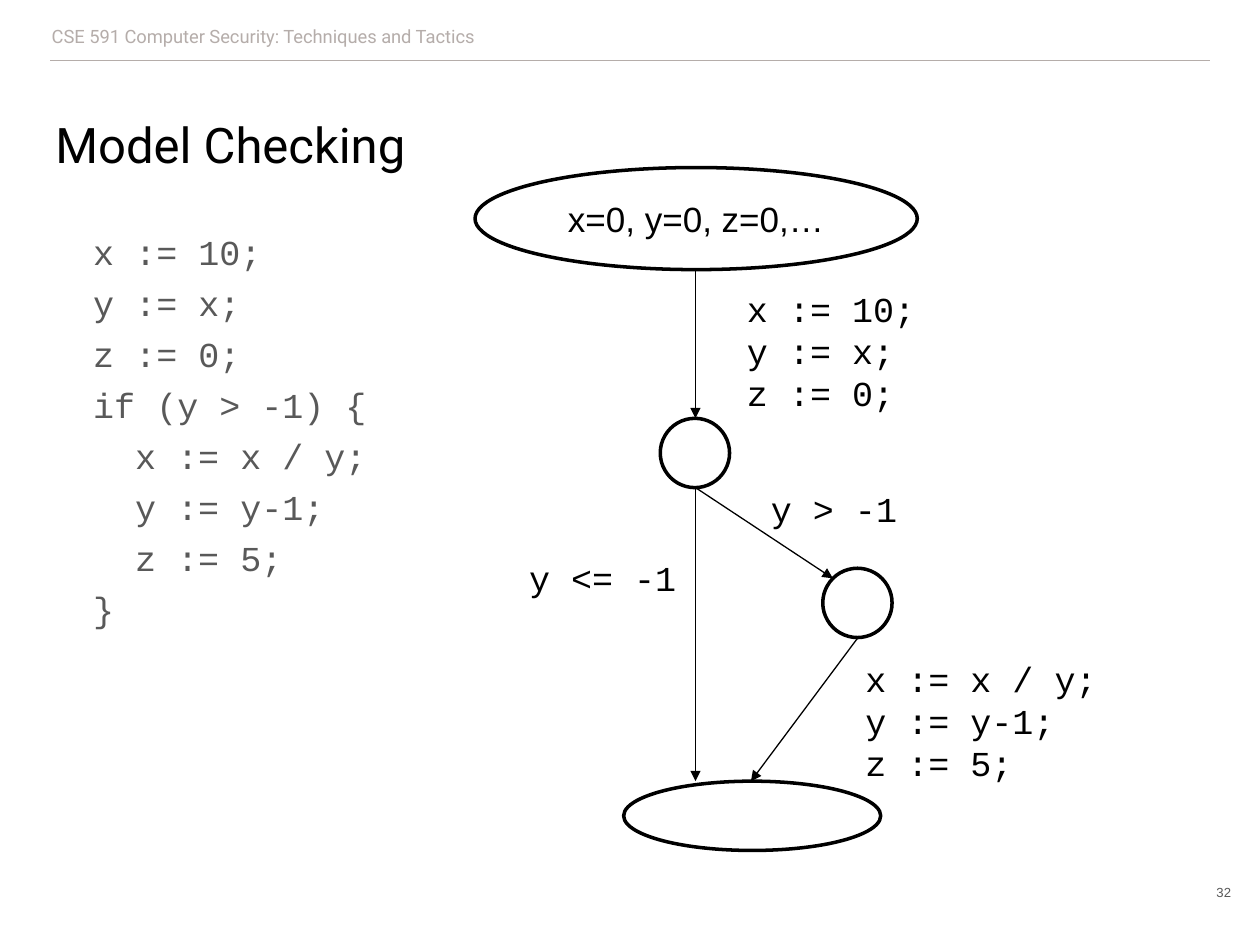
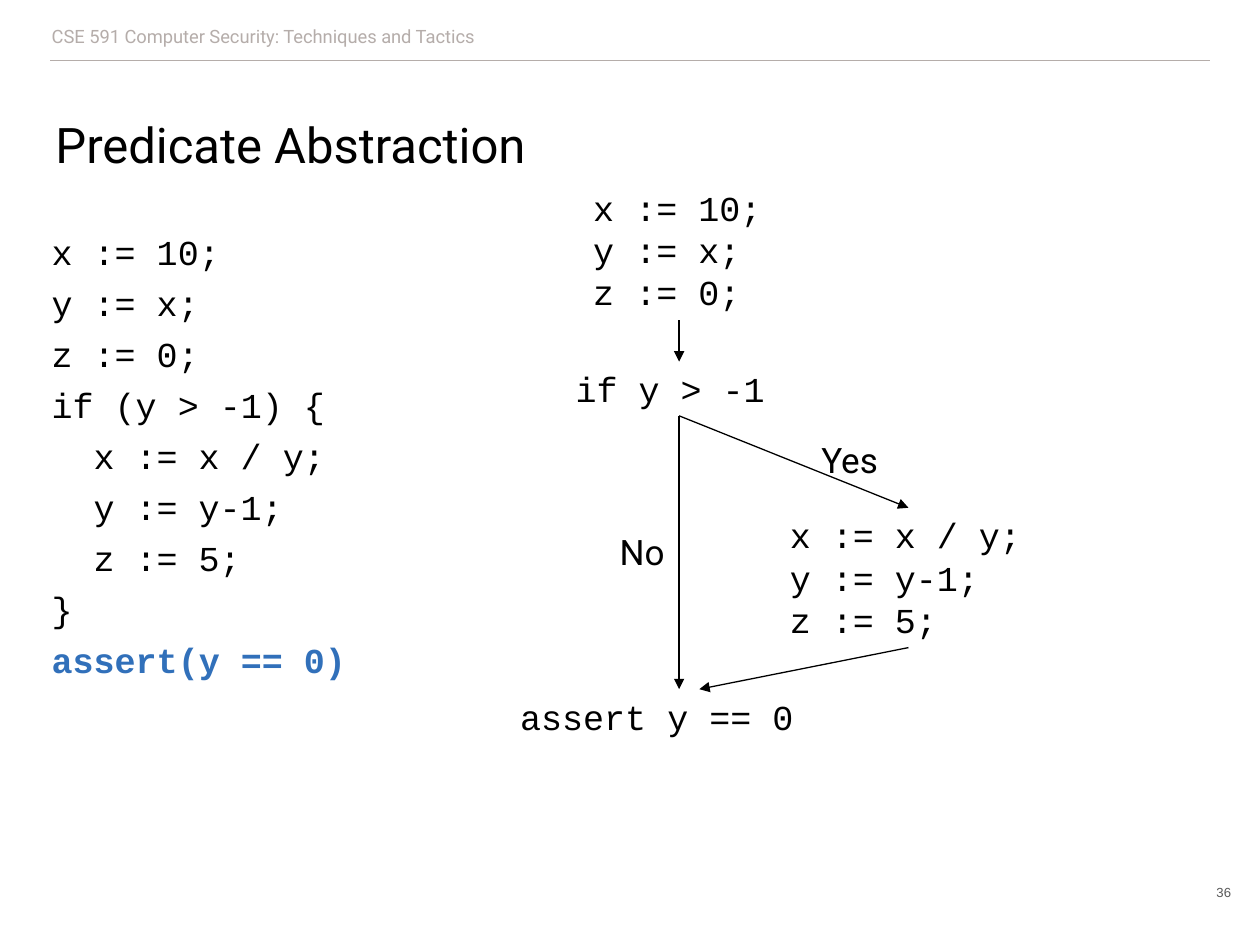
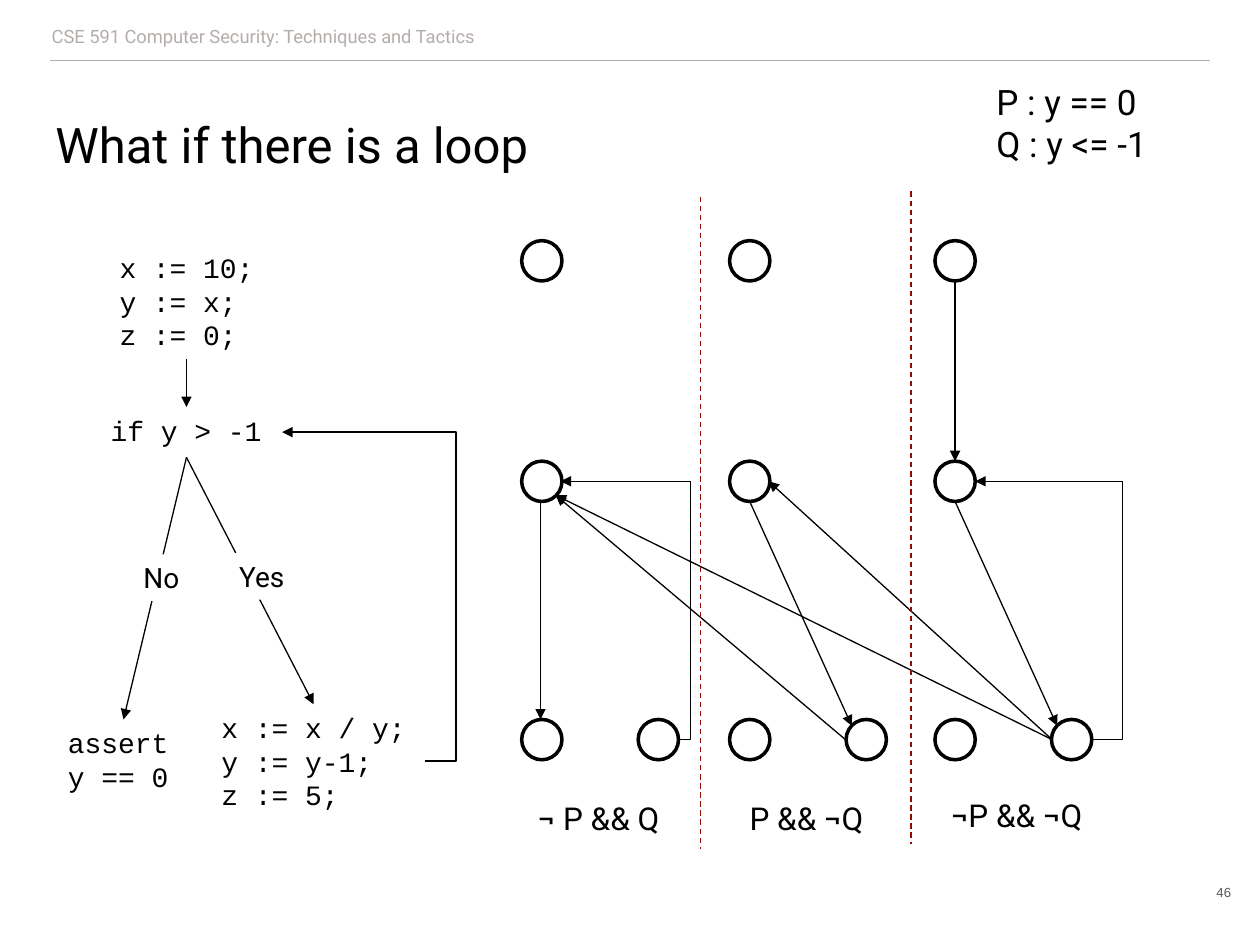
"""Build three lecture slides on model checking and predicate abstraction."""
from lxml import etree
from pptx import Presentation
from pptx import util as u
from pptx.dml.color import RGBColor
from pptx.enum import dml, shapes, text
from pptx.oxml.ns import qn

BLACK = RGBColor(0x00, 0x00, 0x00)
WHITE = RGBColor(0xFF, 0xFF, 0xFF)
GREY = RGBColor(0x59, 0x59, 0x59)
PALE = RGBColor(0xB5, 0xAD, 0xAA)
BLUE = RGBColor(0x31, 0x70, 0xBA)
RED = RGBColor(0x92, 0x0A, 0x00)
CODE, SANS, PLAIN = "Courier New", "Roboto", "Arial"
CELL = u.Inches(0.1)
COURSE = "CSE 591 Computer Security: Techniques and Tactics"
HANG = 0.6
STEP = 3.33

SETUP = ["x := 10;", "y := x;", "z := 0;"]
BRANCH = ["x := x / y;", "y := y-1;", "z := 5;"]
PROGRAM = SETUP + ["if (y > -1) {"] + BRANCH + ["}"]
TEST = ["if y > -1"]
NESTED = range(4, 7)


def write(box, lines, font, margins=(1, 0.5), indent=0, anchor=text.MSO_ANCHOR.TOP,
          align=text.PP_ALIGN.LEFT, wrap=True, fit=text.MSO_AUTO_SIZE.NONE):
    """Fill a box with formatted lines, measured in grid cells."""
    frame = box.text_frame
    side, edge = (int(margin * CELL) for margin in margins)
    layout = {"margin_left": side, "margin_right": side, "margin_top": edge,
              "margin_bottom": edge, "vertical_anchor": anchor,
              "word_wrap": wrap, "auto_size": fit}
    for name, value in layout.items():
        setattr(frame, name, value)
    for index, line in enumerate(lines):
        para = frame.paragraphs[0] if index == 0 else frame.add_paragraph()
        para.alignment = align
        marks = para._p.get_or_add_pPr()
        marks.set("marL", str(int(indent * CELL)))
        marks.set("indent", "0")
        etree.SubElement(marks, qn("a:buNone"))
        span = para.add_run()
        span.text = line
        for name in ("name", "size"):
            setattr(span.font, name, font[name])
        span.font.color.rgb = font["color"]
    return frame.paragraphs


def connect(page, start, end, color=BLACK, arrow=True, turn=None):
    """Draw a line between two grid points, bent at column turn if given."""
    kind = shapes.MSO_CONNECTOR.STRAIGHT if turn is None else shapes.MSO_CONNECTOR.ELBOW
    link = page.shapes.add_connector(kind, *(int(value * CELL) for value in (*start, *end)))
    link.line.color.rgb = color
    link.line.width = u.Pt(0.75)
    if arrow:
        etree.SubElement(link.get_or_add_ln(), qn("a:tailEnd"), type="triangle")
    if turn is not None:
        share = round((turn - start[0]) / (end[0] - start[0]) * 100000)
        guides = link._element.spPr.find(qn("a:prstGeom")).get_or_add_avLst()
        etree.SubElement(guides, qn("a:gd"), name="adj1", fmla=f"val {share}")
    etree.SubElement(link._element.spPr, qn("a:effectLst"))
    return link


GROUPS = [41.4, 57.9, 74.2]
DOT = 3.2
DOTS = [(left + shift, top, DOT, DOT) for left in GROUPS
        for shift, top in ((0, 19.1), (0, 36.6), (0, 57.1), (9.25, 57.1))]

SLIDES = [
    {"title": "Model Checking", "number": "32",
     "body": ((5.8, 16.8, 31.5, 49.8), PROGRAM, GREY),
     "nodes": [(37.7, 13.3, 35.1, 8.1), (52.4, 33.2, 5.5, 5.5),
               (49.5, 62, 20.4, 5.5), (65.3, 45.1, 5.5, 5.5)],
     "arrows": [((55.2, 21.3), (55.2, 33.2)), ((55.2, 38.7), (55.2, 62)),
                ((55.2, 38.7), (66.1, 45.9)), ((68.1, 50.6), (59.6, 62))],
     "boxes": [((57.7, 22.3, 23.1, 11.1), SETUP, CODE, 20, HANG),
               ((60.2, 38.2, 13.8, 4.4), ["y > -1"], CODE, 20, 0),
               ((41, 43.7, 15.5, 4.4), ["y <= -1"], CODE, 20, 0),
               ((67.1, 51.7, 22, 11.1), BRANCH, CODE, 20, HANG)]},
    {"title": "Predicate Abstraction", "number": "36",
     "body": ((2.5, 16.8, 31.5, 39.3), PROGRAM + ["assert(y == 0)"], BLACK),
     "nodes": [],
     "arrows": [((53.9, 33), (53.9, 54.7)), ((53.9, 33), (72.1, 40.3)),
                ((53.9, 25.4), (53.9, 28.7)), ((72.1, 51.4), (55.5, 54.7))],
     "boxes": [((45.5, 14.3, 16.8, 11.1), SETUP, CODE, 20, HANG),
               ((40.3, 54.7, 27.3, 4.4), ["assert y == 0"], CODE, 20, 0),
               ((61.1, 40.3, 21.9, 11.1), BRANCH, CODE, 20, HANG),
               ((44.1, 28.7, 19.5, 4.4), TEST, CODE, 20, HANG),
               ((64.2, 34.3, 6.6, 4.4), ["Yes"], SANS, 20, 0),
               ((48.2, 41.6, 5.6, 4.4), ["No"], SANS, 20, 0)]},
    {"title": "What if there is a loop", "number": "46", "body": None,
     "nodes": DOTS,
     "arrows": [((42.9, 39.8), (42.9, 57.1)), ((75.8, 22.3), (75.8, 36.6)),
                ((59.5, 39.8), (67.6, 57.6)), ((75.8, 39.8), (83.9, 57.6)),
                ((53.8, 58.7), (44.5, 38.2), 54.8), ((83.5, 58.7), (44.1, 39.3)),
                ((83.5, 58.7), (61, 38.2)), ((86.6, 58.7), (77.4, 38.2), 89.1),
                ((67.1, 58.7), (44.1, 39.3)), ((14.8, 36.3), (9.8, 57.1)),
                ((14.8, 36.3), (24.9, 55.9)), ((33.7, 60.4), (22.4, 34.3), 36.2),
                ((14.8, 28.5), (14.8, 32.3))],
     "boxes": [((78.1, 5.9, 14.1, 7.7), ["P : y == 0", "Q : y <= -1"], SANS, 20, 0),
               ((41.7, 62.9, 11.9, 4), ["¬ P && Q"], SANS, 18, 0),
               ((58.5, 62.9, 11.2, 4), ["P && ¬Q"], SANS, 18, 0),
               ((74.5, 62.7, 12.6, 4), ["¬P && ¬Q"], SANS, 18, 0),
               ((7.9, 19.4, 13.8, 9.1), SETUP, CODE, 16, HANG),
               ((4.4, 57.1, 10.8, 6.4), ["assert", "y == 0"], CODE, 16, 0),
               ((16, 55.9, 17.6, 9.1), BRANCH, CODE, 16, HANG),
               ((7.2, 32.3, 15.2, 4), TEST, CODE, 16, HANG),
               ((18, 43.9, 5.7, 3.7), ["Yes"], SANS, 16, 0),
               ((10.4, 44, 4.9, 3.7), ["No"], SANS, 16, 0)]},
]

deck = Presentation()
deck.slide_width, deck.slide_height = 100 * CELL, 75 * CELL
pages = []
for plan in SLIDES:
    page = deck.slides.add_slide(deck.slide_layouts[1])
    pages.append(page)
    title, body = page.placeholders
    connect(page, (4, 4.8), (96, 4.8), PALE, arrow=False)
    header = page.shapes.add_textbox(*(int(v * CELL) for v in (3.4, 1.3, 65.8, 4.5)))
    write(header, [COURSE], {"name": SANS, "size": u.Pt(10.5), "color": PALE}, (0.7, 0.7))
    number = page.shapes.add_textbox(*(int(v * CELL) for v in (92.7, 68, 6, 5.7)))
    write(number, [plan["number"]], {"name": PLAIN, "size": u.Pt(7.5), "color": GREY}, (1, 1),
          anchor=text.MSO_ANCHOR.MIDDLE, align=text.PP_ALIGN.RIGHT)

    title.left, title.top, title.width, title.height = (
        int(v * CELL) for v in (3.4, 7.3, 93.2, 8.3))
    write(title, [plan["title"]], {"name": SANS, "size": u.Pt(28), "color": BLACK}, (1, 1),
          anchor=text.MSO_ANCHOR.MIDDLE)
    if plan["body"]:
        place, lines, color = plan["body"]
        body.left, body.top, body.width, body.height = (int(v * CELL) for v in place)
        paras = write(body, lines, {"name": CODE, "size": u.Pt(20), "color": color}, (1, 1), HANG)
        for index, para in enumerate(paras):
            para.line_spacing, para.space_before = 1.15, u.Pt(1.5)
            if index in NESTED:
                para._p.get_or_add_pPr().set("marL", str(int((HANG + STEP) * CELL)))
            if para.text.startswith("assert"):
                para.runs[0].font.bold = True
                para.runs[0].font.color.rgb = BLUE
    else:
        body._element.getparent().remove(body._element)

    for place in plan["nodes"]:
        node = page.shapes.add_shape(shapes.MSO_SHAPE.OVAL, *(int(v * CELL) for v in place))
        node.shadow.inherit = False
        node.fill.solid()
        node.fill.fore_color.rgb = WHITE
        node.line.color.rgb = BLACK
        node.line.width = u.Pt(2)
        if place[2] > 30:
            write(node, ["x=0, y=0, z=0,…"],
                  {"name": PLAIN, "size": u.Pt(20), "color": BLACK},
                  anchor=text.MSO_ANCHOR.MIDDLE, align=text.PP_ALIGN.CENTER)
    for start, end, *turn in plan["arrows"]:
        connect(page, start, end, turn=turn[0] if turn else None)
    for place, lines, name, size, indent in plan["boxes"]:
        box = page.shapes.add_textbox(*(int(v * CELL) for v in place))
        write(box, lines, {"name": name, "size": u.Pt(size), "color": BLACK},
              indent=indent, wrap=name == CODE, fit=text.MSO_AUTO_SIZE.SHAPE_TO_FIT_TEXT)
        if name == SANS and size == 16:
            box.fill.solid()
            box.fill.fore_color.rgb = WHITE

for column, top in ((55.6, 15.6), (72.3, 15.2)):
    divider = connect(pages[-1], (column, top), (column, top + 51.8), RED, arrow=False)
    divider.line.dash_style = dml.MSO_LINE.DASH

deck.save("out.pptx")
